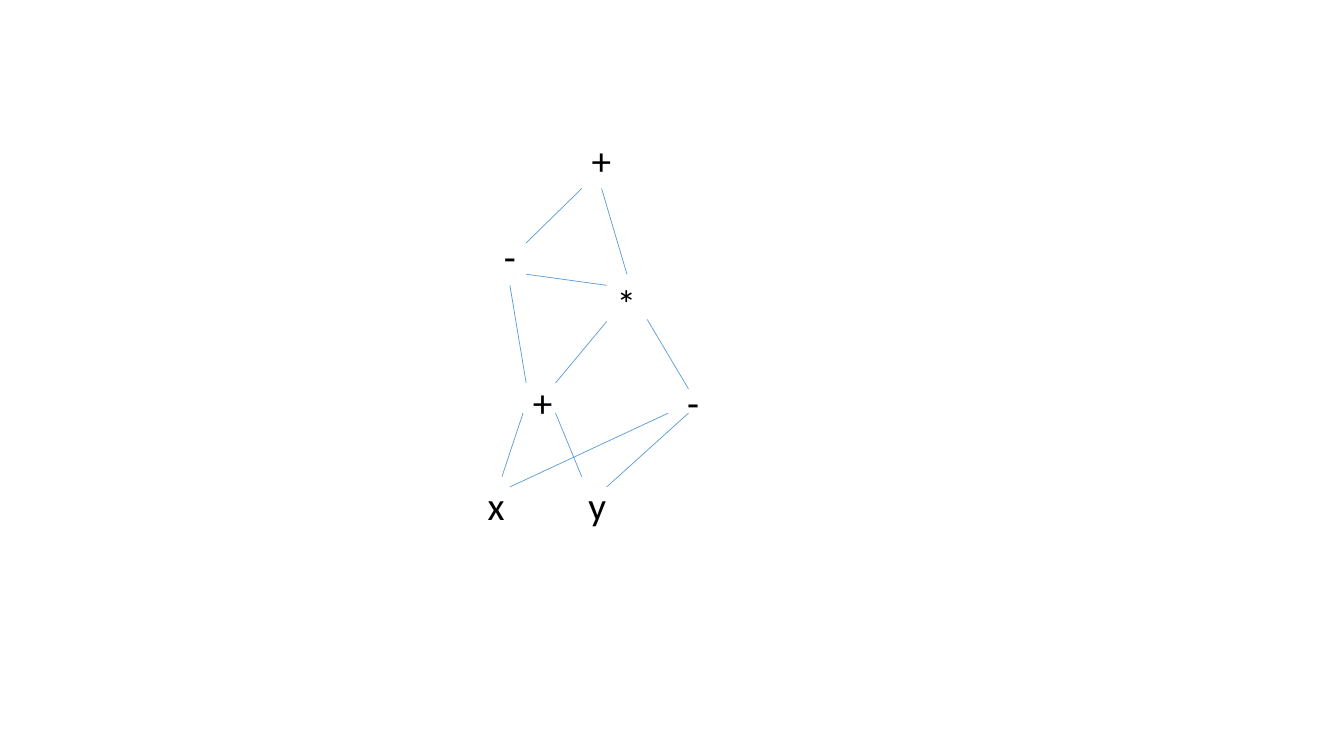
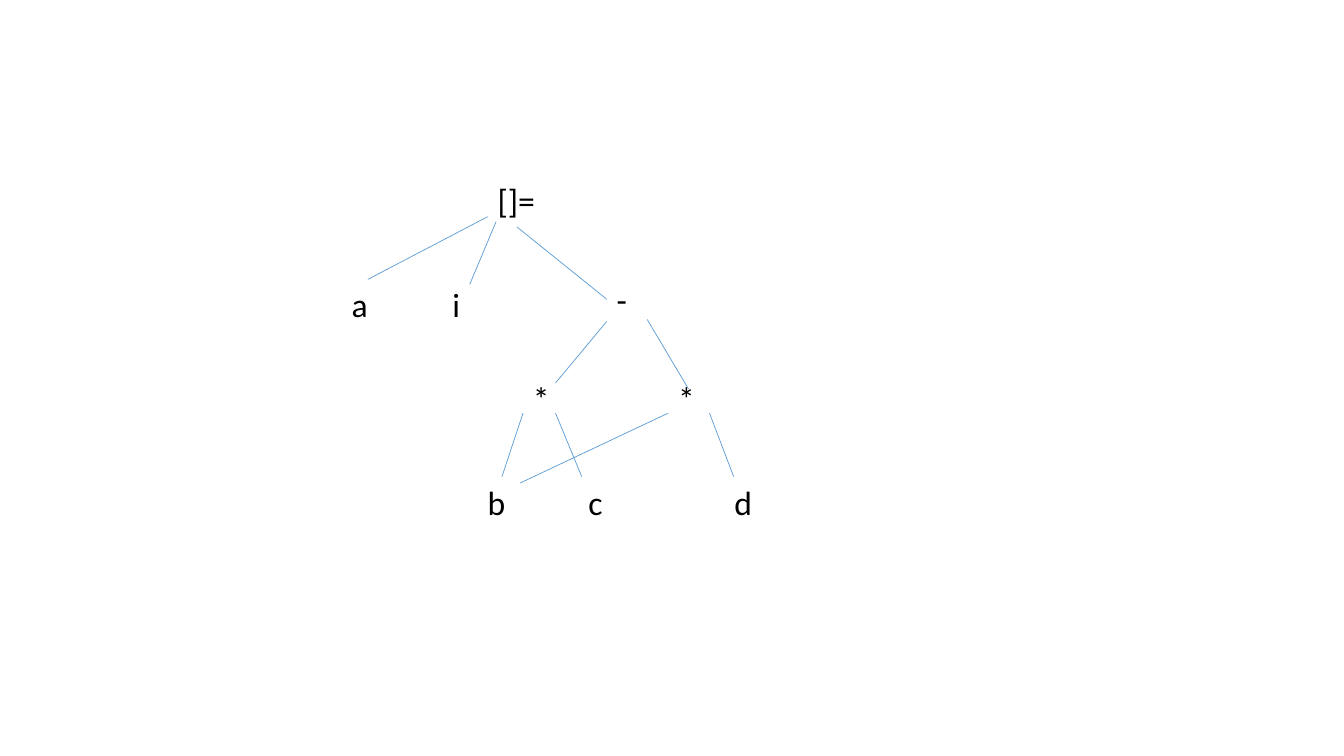
import dataclasses

import lxml.etree
import pptx
import pptx.dml.color
import pptx.enum.shapes
import pptx.enum.text
import pptx.oxml.ns
import pptx.slide
import pptx.util

COLORS = {"text": "000000", "edge": "5B9BD5"}
FONT = "Calibri"
EDGE_WIDTH = 0.5
TAB_STOP = 2.54
OPERATOR_ROW = 9.4
LEAF_ROW = 12.01


@dataclasses.dataclass(frozen=True)
class Label:
    text: str
    left: float
    top: float
    width: float


@dataclasses.dataclass(frozen=True)
class Edge:
    start_x: float
    start_y: float
    end_x: float
    end_y: float


@dataclasses.dataclass(frozen=True)
class Graph:
    font_size: int
    label_height: float
    labels: tuple[Label, ...]
    edges: tuple[Edge, ...]


SHARED_EDGES = (
    Edge(13.18, 10.41, 12.65, LEAF_ROW),
    Edge(14, 10.41, 14.66, LEAF_ROW),
    Edge(15.29, 8.1, 14, 9.65),
    Edge(16.31, 8.05, 17.35, 9.8),
)

GRAPHS = (
    Graph(
        font_size=28,
        label_height=1.45,
        labels=(
            Label("+", 14.66, 3.3, 1.02),
            Label("-", 12.45, 5.74, 0.81),
            Label("*", 15.29, 6.91, 1.02),
            Label("+", 13.18, OPERATOR_ROW, 1.02),
            Label("-", 17.07, OPERATOR_ROW, 0.81),
            Label("x\ty", 12.04, LEAF_ROW, 3.53),
        ),
        edges=(
            Edge(16.84, 10.41, 12.85, 12.27),
            Edge(17.35, 10.41, 15.29, 12.27),
            Edge(12.85, 7.19, 13.26, 9.65),
            Edge(13.26, 6.91, 15.29, 7.19),
            Edge(14.66, 4.75, 13.26, 6.12),
            Edge(15.16, 4.75, 15.8, 6.91),
        ),
    ),
    Graph(
        font_size=24,
        label_height=1.27,
        labels=(
            Label("[]=", 12.29, 4.42, 1.47),
            Label("a\ti", 8.61, 7.04, 3.28),
            Label("-", 15.29, 6.91, 0.79),
            Label("*", 13.18, OPERATOR_ROW, 0.94),
            Label("*", 16.84, OPERATOR_ROW, 0.94),
            Label("b\tc", 12.04, LEAF_ROW, 3.43),
            Label("d", 18.26, LEAF_ROW, 0.99),
        ),
        edges=(
            Edge(16.84, 10.41, 13.11, 12.17),
            Edge(17.88, 10.41, 18.49, LEAF_ROW),
            Edge(13.03, 5.72, 15.29, 7.54),
            Edge(12.29, 5.46, 9.27, 7.04),
            Edge(12.5, 5.59, 11.84, 7.16),
        ),
    ),
)


def color(name: str) -> pptx.dml.color.RGBColor:
    return pptx.dml.color.RGBColor.from_string(COLORS[name])


def add_text(page: pptx.slide.Slide, text: str, *, left: float, top: float,
             width: float, height: float, size: int) -> None:
    box = page.shapes.add_textbox(*map(pptx.util.Cm, (left, top, width, height)))
    frame = box.text_frame
    frame.word_wrap = False
    frame.auto_size = pptx.enum.text.MSO_AUTO_SIZE.SHAPE_TO_FIT_TEXT
    para = frame.paragraphs[0]
    if "\t" in text:
        add_tab_stop(para)
    span = para.add_run()
    span.text = text
    span.font.name = FONT
    span.font.size = pptx.util.Pt(size)
    span.font.color.rgb = color("text")


def add_tab_stop(para) -> None:
    properties = para._p.get_or_add_pPr()
    stops = lxml.etree.SubElement(properties, pptx.oxml.ns.qn("a:tabLst"))
    stop = lxml.etree.SubElement(stops, pptx.oxml.ns.qn("a:tab"))
    stop.set("pos", str(int(pptx.util.Cm(TAB_STOP))))
    stop.set("algn", "l")


def draw_edge(page: pptx.slide.Slide, edge: Edge) -> None:
    connector = page.shapes.add_connector(
        pptx.enum.shapes.MSO_CONNECTOR.STRAIGHT,
        *map(pptx.util.Cm, dataclasses.astuple(edge)),
    )
    connector.line.color.rgb = color("edge")
    connector.line.width = pptx.util.Pt(EDGE_WIDTH)
    lxml.etree.SubElement(connector._element.spPr, pptx.oxml.ns.qn("a:effectLst"))


def draw_graph(page: pptx.slide.Slide, graph: Graph) -> None:
    for label in graph.labels:
        add_text(page, label.text, left=label.left, top=label.top,
                 width=label.width, height=graph.label_height, size=graph.font_size)
    for edge in SHARED_EDGES + graph.edges:
        draw_edge(page, edge)


def main() -> None:
    deck = pptx.Presentation()
    deck.slide_width = pptx.util.Cm(33.87)
    deck.slide_height = pptx.util.Cm(19.05)
    for graph in GRAPHS:
        draw_graph(deck.slides.add_slide(deck.slide_layouts[6]), graph)
    deck.save("out.pptx")


main()
